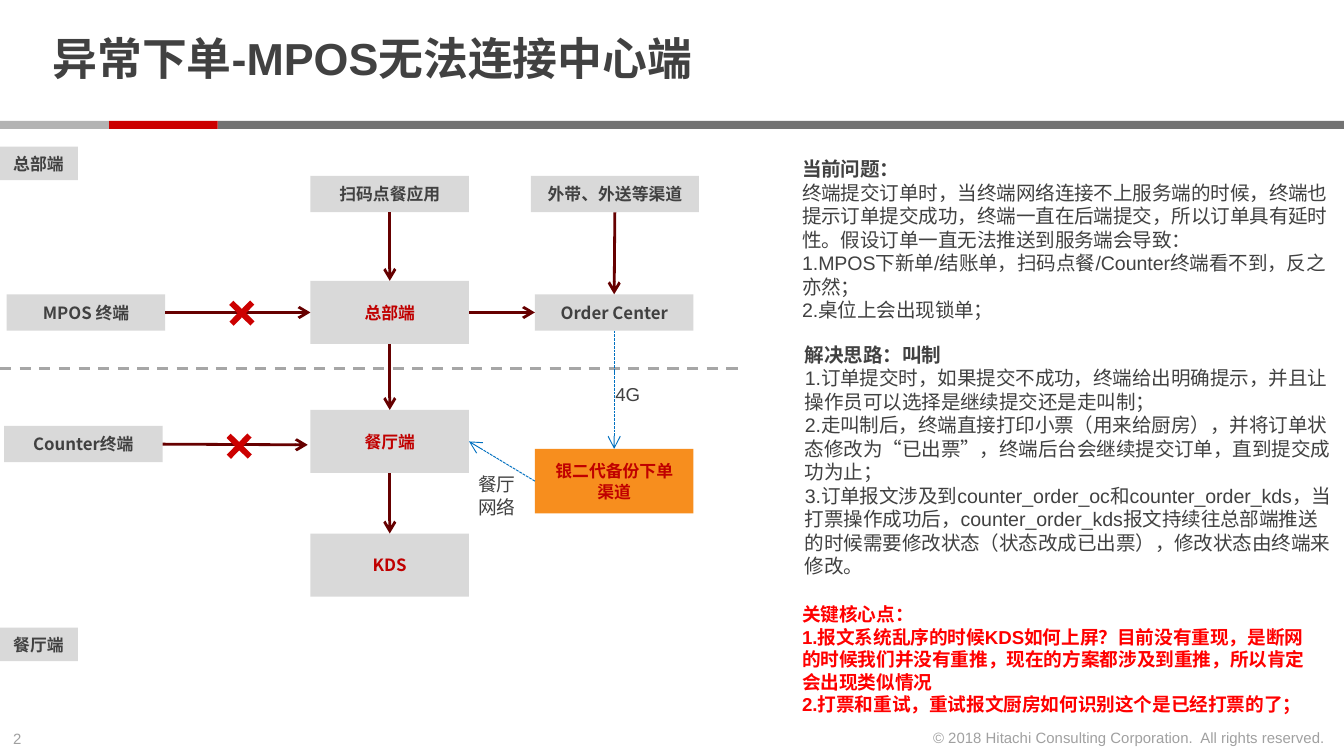
"""Build the slide on abnormal ordering when the MPOS cannot reach the centre."""
from dataclasses import dataclass
from typing import Any, Optional

from lxml.etree import SubElement
from pptx import Presentation
from pptx.dml.color import RGBColor
from pptx.enum.dml import MSO_LINE
from pptx.enum.shapes import MSO_CONNECTOR, MSO_SHAPE
from pptx.enum.text import MSO_ANCHOR, MSO_AUTO_SIZE, PP_ALIGN
from pptx.oxml.ns import qn
from pptx.util import Emu, Pt

EMU_PER_PX = 9144
TOP, LEFT, BOTTOM, RIGHT = range(4)
CJK_FONT = "Noto Sans CJK SC"
COLORS = {
    "text": "414141", "faint": "A0A0A0", "accent": "C00000", "alert": "FF0000",
    "box": "D9D9D9", "backup": "F78E1E", "cross": "CC0000", "flow": "660000",
    "fallback": "0070C0", "divider": "A6A6A6", "band": "737373", "band_light": "B3B3B3",
}
FREE_TEXT = {"word_wrap": False, "auto_size": MSO_AUTO_SIZE.SHAPE_TO_FIT_TEXT}
WRAPPED_TEXT = {"word_wrap": True, "auto_size": MSO_AUTO_SIZE.SHAPE_TO_FIT_TEXT}
NODE_TEXT = {"word_wrap": True, "vertical_anchor": MSO_ANCHOR.MIDDLE}
TITLE_TEXT = {
    "word_wrap": True, "auto_size": MSO_AUTO_SIZE.NONE, "vertical_anchor": MSO_ANCHOR.MIDDLE,
    "margin_left": Emu(91440), "margin_right": Emu(91440), "margin_top": 0, "margin_bottom": 0,
}


@dataclass
class Area:
    left: int
    top: int
    width: int
    height: int


@dataclass
class Style:
    size: float
    color: str = "text"
    font: str = "Arial"
    align: PP_ALIGN = PP_ALIGN.LEFT
    bold_paragraphs: int = 0


@dataclass
class Node:
    text: str
    area: Area
    color: str = "text"
    fill: str = "box"


@dataclass
class TextBlock:
    area: Area
    style: Style
    paragraphs: list[str]
    frame_format: dict[str, Any]


@dataclass
class Flow:
    source: str
    source_side: int
    target: Optional[str]
    target_side: int = TOP
    color: str = "flow"
    width: float = 1.5
    dash: Optional[MSO_LINE] = None
    end: tuple[int, int] = (0, 0)


def px(length: int) -> Emu:
    return Emu(length * EMU_PER_PX)


def box(area: Area) -> list[Emu]:
    return [px(length) for length in (area.left, area.top, area.width, area.height)]


def rgb(name: str) -> RGBColor:
    return RGBColor.from_string(COLORS[name])


def apply(target: Any, values: dict[str, Any]) -> None:
    for name, value in values.items():
        setattr(target, name, value)


def write(frame: Any, paragraphs: list[str], style: Style, frame_format: dict[str, Any]) -> None:
    apply(frame, frame_format)
    for index, text in enumerate(paragraphs):
        paragraph = frame.add_paragraph() if index else frame.paragraphs[0]
        paragraph.alignment = style.align
        run = paragraph.add_run()
        run.text = text
        bold = index < style.bold_paragraphs
        apply(run.font, {"size": Pt(style.size), "name": style.font, "bold": bold})
        run.font.color.rgb = rgb(style.color)
        SubElement(run.font._element, qn("a:ea"), typeface=CJK_FONT)


def draw_shape(slide: Any, area: Area, fill: str, kind: MSO_SHAPE = MSO_SHAPE.RECTANGLE) -> Any:
    shape = slide.shapes.add_shape(kind, *box(area))
    shape.shadow.inherit = False
    shape.fill.solid()
    shape.fill.fore_color.rgb = rgb(fill)
    shape.line.fill.background()
    return shape


def draw_node(slide: Any, node: Node) -> Any:
    shape = draw_shape(slide, node.area, node.fill)
    style = Style(9, node.color, CJK_FONT, PP_ALIGN.CENTER, 1)
    write(shape.text_frame, [node.text], style, NODE_TEXT)
    return shape


def draw_text(slide: Any, block: TextBlock) -> None:
    text_box = slide.shapes.add_textbox(*box(block.area))
    write(text_box.text_frame, block.paragraphs, block.style, block.frame_format)


def draw_line(slide: Any, start: tuple[int, int], end: tuple[int, int], color: str,
              width: float, dash: Optional[MSO_LINE], arrow: bool) -> Any:
    points = [px(length) for length in (*start, *end)]
    connector = slide.shapes.add_connector(MSO_CONNECTOR.STRAIGHT, *points)
    connector.line.color.rgb = rgb(color)
    apply(connector.line, {"width": Pt(width), "dash_style": dash})
    if arrow:
        SubElement(connector.line._get_or_add_ln(), qn("a:tailEnd"), type="arrow")
    SubElement(connector._element.spPr, qn("a:effectLst"))
    return connector


def draw_flow(slide: Any, flow: Flow, shapes: dict[str, Any]) -> None:
    connector = draw_line(slide, flow.end, flow.end, flow.color, flow.width, flow.dash, True)
    connector.begin_connect(shapes[flow.source], flow.source_side)
    if flow.target:
        connector.end_connect(shapes[flow.target], flow.target_side)


BANDS = [("band", Area(162, 90, 838, 6)), ("cross", Area(81, 90, 81, 6)),
         ("band_light", Area(0, 90, 81, 6))]
ZONES = [("总部端", 109), ("餐厅端", 467)]
NODES = {
    "mpos": Node("MPOS 终端", Area(5, 219, 118, 27)),
    "counter": Node("Counter终端", Area(3, 317, 118, 27)),
    "scan": Node("扫码点餐应用", Area(231, 131, 118, 27)),
    "headquarters": Node("总部端", Area(231, 209, 118, 47), "accent"),
    "restaurant": Node("餐厅端", Area(231, 305, 118, 47), "accent"),
    "kds": Node("KDS", Area(231, 397, 118, 47), "accent"),
    "channels": Node("外带、外送等渠道", Area(395, 131, 125, 27)),
    "orders": Node("Order Center", Area(398, 219, 118, 27)),
    "backup": Node("银二代备份下单渠道", Area(398, 334, 118, 48), "accent", "backup"),
}
FALLBACK = {"color": "fallback", "width": 0.5, "dash": MSO_LINE.SQUARE_DOT}
FLOWS = [
    Flow("mpos", RIGHT, "headquarters", LEFT),
    Flow("counter", RIGHT, None, end=(229, 331)),
    Flow("scan", BOTTOM, "headquarters"),
    Flow("headquarters", BOTTOM, "restaurant"),
    Flow("restaurant", BOTTOM, "kds"),
    Flow("headquarters", RIGHT, "orders", LEFT),
    Flow("channels", BOTTOM, "orders"),
    Flow("orders", BOTTOM, "backup", **FALLBACK),
    Flow("backup", LEFT, "restaurant", RIGHT, **FALLBACK),
]
CROSSES = [Area(169, 222, 22, 22), Area(167, 321, 22, 22)]
TEXT_BLOCKS = [
    TextBlock(Area(0, 538, 34, 24), Style(8, "faint"), ["2"], FREE_TEXT),
    TextBlock(Area(680, 537, 316, 24), Style(8, "faint", align=PP_ALIGN.RIGHT),
              ["© 2018 Hitachi Consulting Corporation.  All rights reserved."], FREE_TEXT),
    TextBlock(Area(448, 280, 39, 27), Style(10), ["4G"], FREE_TEXT),
    TextBlock(Area(346, 347, 48, 44), Style(10), ["餐厅", "网络"], FREE_TEXT),
    TextBlock(Area(587, 112, 413, 134), Style(10.5, bold_paragraphs=1), [
        "当前问题：",
        "终端提交订单时，当终端网络连接不上服务端的时候，终端也提示订单提交成功，终端一直在后端提交，"
        "所以订单具有延时性。假设订单一直无法推送到服务端会导致：",
        "1.MPOS下新单/结账单，扫码点餐/Counter终端看不到，反之亦然；",
        "2.桌位上会出现锁单；"], WRAPPED_TEXT),
    TextBlock(Area(589, 250, 413, 187), Style(10.5, bold_paragraphs=1), [
        "解决思路：叫制",
        "1.订单提交时，如果提交不成功，终端给出明确提示，并且让操作员可以选择是继续提交还是走叫制；",
        "2.走叫制后，终端直接打印小票（用来给厨房），并将订单状态修改为“已出票”，"
        "终端后台会继续提交订单，直到提交成功为止；",
        "3.订单报文涉及到counter_order_oc和counter_order_kds，当打票操作成功后，counter_order_kds"
        "报文持续往总部端推送的时候需要修改状态（状态改成已出票），修改状态由终端来修改。"], WRAPPED_TEXT),
    TextBlock(Area(587, 444, 401, 94), Style(10, "alert", bold_paragraphs=3), [
        "关键核心点：",
        "1.报文系统乱序的时候KDS如何上屏？目前没有重现，是断网的时候我们并没有重推，"
        "现在的方案都涉及到重推，所以肯定会出现类似情况",
        "2.打票和重试，重试报文厨房如何识别这个是已经打票的了；"], WRAPPED_TEXT),
]


def main() -> None:
    presentation = Presentation()
    apply(presentation, {"slide_width": px(1000), "slide_height": px(1000) * 9 // 16})
    slide = presentation.slides.add_slide(presentation.slide_layouts[5])
    title = slide.shapes.title
    apply(title, dict(zip(("left", "top", "width", "height"), box(Area(29, 6, 771, 80)))))
    write(title.text_frame, ["异常下单-MPOS无法连接中心端"], Style(24, bold_paragraphs=1), TITLE_TEXT)
    title.text_frame.paragraphs[0].line_spacing = 0.85
    for fill, area in BANDS:
        draw_shape(slide, area, fill)
    draw_line(slide, (0, 274), (551, 274), "divider", 1.5, MSO_LINE.DASH, False)
    for text, top in ZONES:
        zone = draw_shape(slide, Area(0, top, 58, 25), "box")
        write(zone.text_frame, [text], Style(9, font=CJK_FONT, bold_paragraphs=1), FREE_TEXT)
    shapes = {key: draw_node(slide, node) for key, node in NODES.items()}
    for flow in FLOWS:
        draw_flow(slide, flow, shapes)
    for area in CROSSES:
        cross = draw_shape(slide, area, "cross", MSO_SHAPE.CROSS)
        cross.rotation = 314.2
        cross.adjustments[0] = 0.4
    for block in TEXT_BLOCKS:
        draw_text(slide, block)
    presentation.save("out.pptx")


if __name__ == "__main__":
    main()
